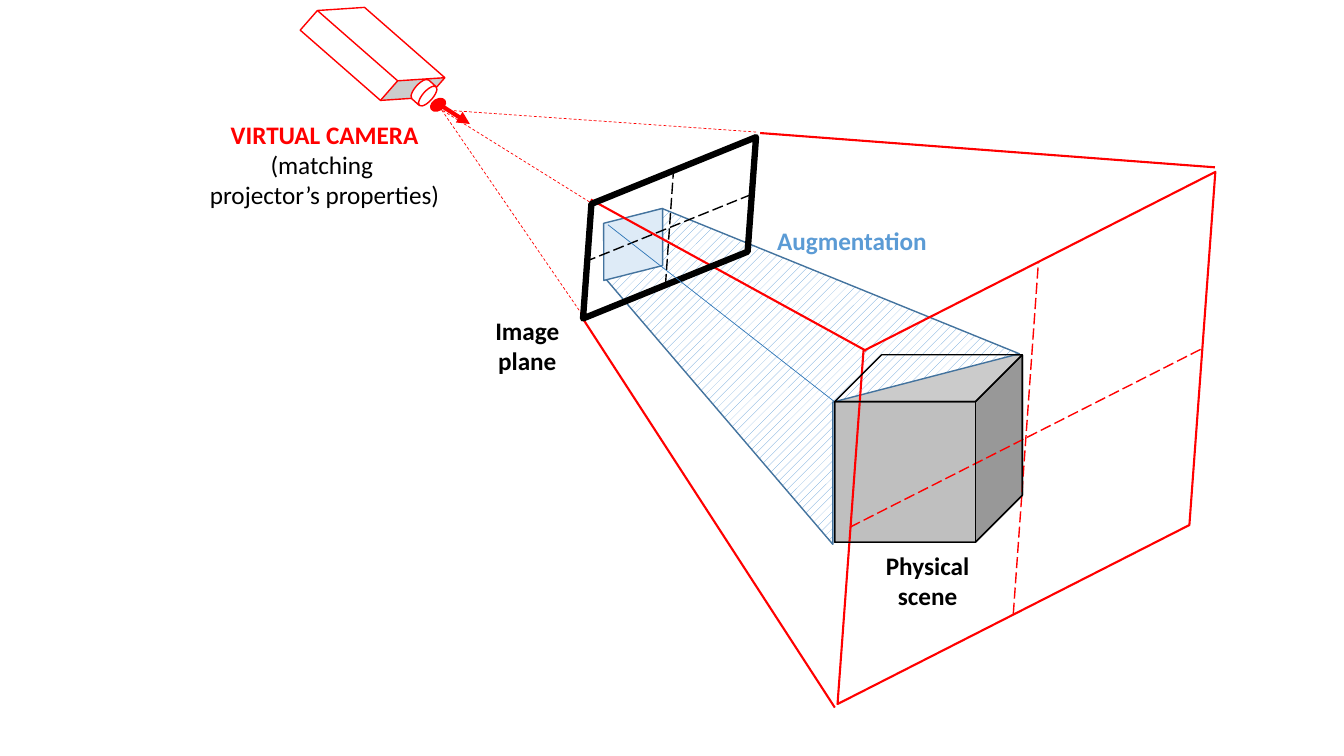
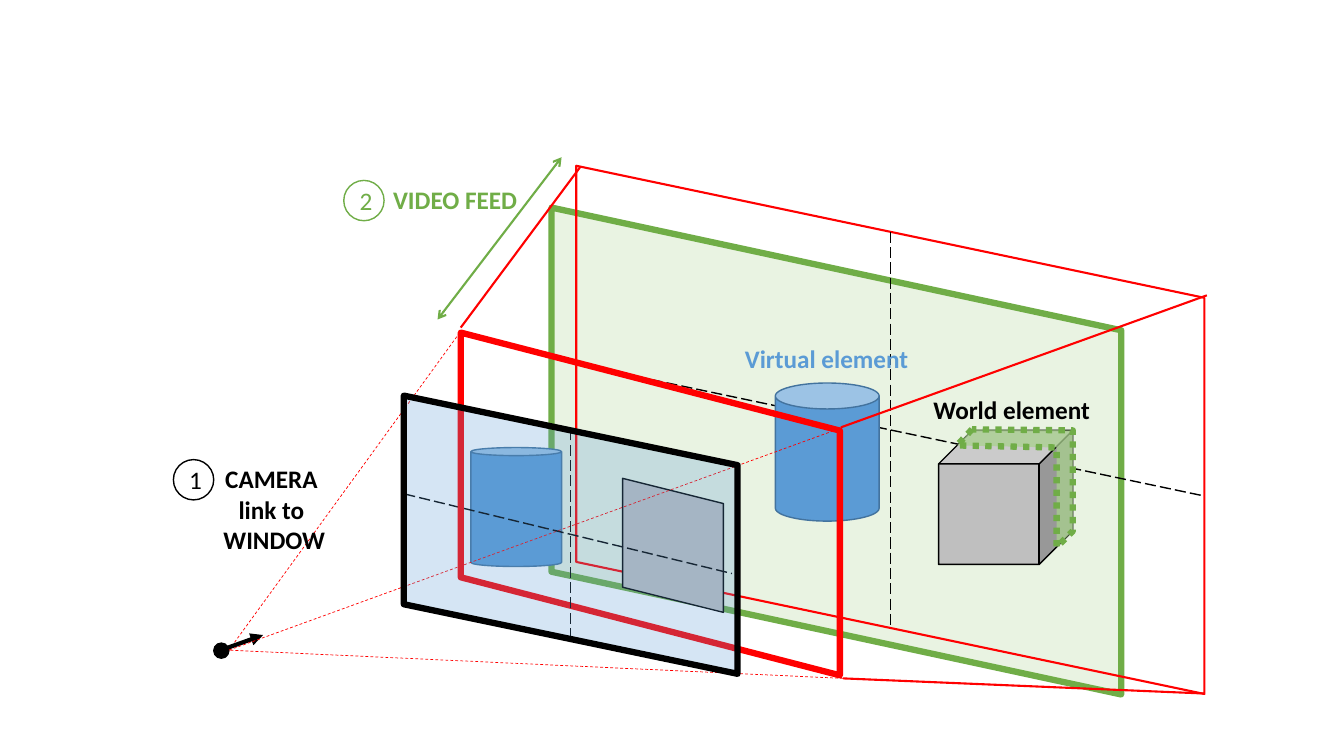
"""Draw two projection diagrams: virtual camera matching and video feed layering."""
import dataclasses

import lxml.etree
import pptx
import pptx.dml.color
import pptx.enum.dml
import pptx.enum.shapes
import pptx.enum.text
import pptx.oxml.ns
import pptx.util

Inches = pptx.util.Inches
Kind = pptx.enum.shapes.MSO_SHAPE
Dash = pptx.enum.dml.MSO_LINE
Align = pptx.enum.text.PP_ALIGN


@dataclasses.dataclass(frozen=True)
class Theme:
    font: str = "Calibri"
    size: int = 18
    black: str = "000000"
    white: str = "FFFFFF"
    red: str = "FF0000"
    blue: str = "5B9BD5"
    blue_edge: str = "43739E"
    blue_ray: str = "2E75B6"
    pale_blue: str = "DEEBF7"
    green: str = "70AD47"
    pale_green: str = "A9D18E"
    grey: str = "BFBFBF"


THEME = Theme()

PENS = {
    "outline": (THEME.black, 1, None),
    "axis": (THEME.black, 1, Dash.LONG_DASH),
    "frame": (THEME.black, 4.5, None),
    "pointer": (THEME.black, 3, None),
    "red thin": (THEME.red, 1, None),
    "red axis": (THEME.red, 1, Dash.LONG_DASH),
    "red edge": (THEME.red, 1.5, None),
    "red frame": (THEME.red, 4.5, None),
    "red pointer": (THEME.red, 3, None),
    "red ray": (THEME.red, 0.5, Dash.DASH),
    "blue edge": (THEME.blue_edge, 1, None),
    "blue ray": (THEME.blue_ray, 0.5, None),
    "green thin": (THEME.green, 1, None),
    "green edge": (THEME.green, 1.5, None),
    "green frame": (THEME.green, 4.5, None),
    "green dots": (THEME.green, 4.5, Dash.ROUND_DOT),
}


def shape(kind, at, pen, fill=None, **extra):
    return "shape", dict(kind=kind, at=at, pen=pen, fill=fill, **extra)


def outline(points, pen, **fill):
    return "outline", dict(points=points, pen=pen, **fill)


def line(start, end, pen, **ends):
    return "line", dict(start=start, end=end, pen=pen, **ends)


def label(at, *paragraphs, align=Align.CENTER):
    return "label", dict(at=at, paragraphs=paragraphs, align=align)


def badge(at, number, ink, pen):
    return shape(Kind.OVAL, (*at, 0.4, 0.4), pen, THEME.white, text=(number, ink, False))


SCENE_CUBE = (8.28, 3.52, 1.86, 1.86)
PROJECTOR_EYE = (4.38, 1.09)
VIRTUAL_CAMERA = [
    shape(Kind.CUBE, SCENE_CUBE, "outline", THEME.grey),
    outline([(10.11, 3.51), (8.26, 3.99), (8.26, 5.4), (6.01, 2.77), (6, 2.22), (6.57, 2.07)],
            "blue edge", hatch=THEME.blue),
    shape(Kind.PARALLELOGRAM, (5.91, 2.15, 0.74, 0.55), "blue edge", THEME.pale_blue,
          turn=345.8),
    label((8.68, 5.41, 1.04, 0.71), ("Physical\nscene", THEME.black, True)),
    label((1.95, 1.13, 2.54, 1.01), ("VIRTUAL CAMERA", THEME.red, True),
          ("(matching \nprojector’s properties)", THEME.black, False)),
    line((5.78, 3.16), (8.28, 7.02), "red edge"),
    line((7.54, 1.32), (12.05, 1.66), "red edge"),
    line((7.5, 1.31), PROJECTOR_EYE, "red ray"),
    line((5.8, 3.16), PROJECTOR_EYE, "red ray"),
    shape(Kind.OVAL, (4.29, 0.96, 0.11, 0.16), "red thin", THEME.red, turn=57.9),
    line((4.38, 1.05), (4.66, 1.23), "red pointer", tail="triangle"),
    line((5.86, 1.98), (8.59, 3.48), "red edge"),
    line((5.89, 2.03), PROJECTOR_EYE, "red ray"),
    line((7.45, 1.93), (5.82, 2.59), "axis"),
    shape(Kind.PARALLELOGRAM, (5.68, 1.47, 1.92, 1.58), "frame",
          turn=274.2, flip=True, adjust=0.494),
    line((6.6, 2.83), (6.68, 1.69), "axis"),
    shape(Kind.CUBE, (3, 0.24, 1.39, 0.59), "red thin", THEME.white, turn=41.2, adjust=0.562),
    shape(Kind.CAN, (4.08, 0.82, 0.25, 0.2), "red thin", THEME.white, turn=131.8, adjust=0.5),
    shape(Kind.PARALLELOGRAM, (7.41, 2.67, 5.54, 3.35), "red edge",
          turn=274.2, flip=True, adjust=0.605),
    line((10.05, 6.09), (10.3, 2.59), "red axis"),
    line((8.43, 5.23), (11.92, 3.46), "red axis"),
    line((6.03, 2.23), (8.27, 3.98), "blue ray"),
    label((4.81, 3.08, 0.84, 0.71), ("Image\nplane", THEME.black, True)),
    label((7.6, 2.19, 1.7, 0.4), ("Augmentation", THEME.blue, True)),
    shape(Kind.CUBE, SCENE_CUBE, "outline"),
]

CAMERA_EYE = (2.27, 6.45)
NEAR_CORNER = (8.36, 6.73)
VIDEO_FEED = [
    shape(Kind.PARALLELOGRAM, (5.88, 1.65, 4.83, 5.65), "green frame", THEME.pale_green,
          opacity=25, turn=90, adjust=0.252),
    shape(Kind.PARALLELOGRAM, (6.21, 1.15, 5.24, 6.23), "red edge", turn=90),
    line((8.83, 2.3), (8.83, 6.23), "axis"),
    line((5.72, 3.61), (11.94, 4.92), "axis"),
    line(NEAR_CORNER, (11.94, 6.88), "red edge"),
    line((4.57, 3.25), (5.76, 1.65), "red edge"),
    shape(Kind.CUBE, (9.31, 4.27, 1.33, 1.33), "outline", THEME.grey),
    shape(Kind.PARALLELOGRAM, (6.01, 4.91, 1.33, 1), "outline", THEME.grey, turn=270, flip=False),
    label((9.16, 3.86, 1.77, 0.4), ("World element", THEME.black, True), align=Align.LEFT),
    line((4.56, 3.3), CAMERA_EYE, "red ray"),
    label((2.11, 4.55, 1.22, 1.01), ("CAMERA ", THEME.black, True),
          ("link to \nWINDOW", THEME.black, True)),
    line(NEAR_CORNER, CAMERA_EYE, "red ray"),
    shape(Kind.OVAL, (2.12, 6.38, 0.15, 0.15), "outline", THEME.black),
    line((2.22, 6.44), (2.61, 6.3), "pointer", tail="triangle"),
    badge((1.72, 4.56), "1", THEME.black, "outline"),
    shape(Kind.CAN, (7.69, 3.8, 1.03, 1.37), "blue edge", THEME.blue),
    line((8.34, 4.24), (11.97, 2.93), "red edge"),
    label((7.29, 3.36, 1.83, 0.4), ("Virtual element", THEME.blue, True), align=Align.LEFT),
    shape(Kind.CAN, (4.67, 4.44, 0.9, 1.18), "blue edge", THEME.blue, adjust=0.089),
    line((8.36, 4.24), CAMERA_EYE, "red ray"),
    line((4.01, 4.9), (7.26, 5.69), "axis"),
    shape(Kind.PARALLELOGRAM, (4.75, 3.12, 3.4, 3.76), "red frame", turn=90, adjust=0.286),
    line((5.66, 6.34), (5.66, 4.27), "axis"),
    shape(Kind.PARALLELOGRAM, (4.28, 3.65, 2.76, 3.31), "frame", THEME.blue,
          opacity=25, turn=90),
    label((3.8, 1.78, 1.44, 0.4), ("VIDEO FEED", THEME.green, True), align=Align.LEFT),
    badge((3.41, 1.79), "2", THEME.green, "green thin"),
    line((5.57, 1.56), (4.34, 3.17), "green edge", head="arrow", tail="arrow"),
    outline([(9.64, 4.26), (9.49, 4.42), (10.48, 4.44), (10.48, 5.43), (10.64, 5.27),
             (10.64, 4.27)], "green dots", fill=THEME.pale_green, opacity=75),
]


def rgb(value):
    return pptx.dml.color.RGBColor.from_string(value)


def add_element(parent, tag, **attributes):
    return lxml.etree.SubElement(parent, pptx.oxml.ns.qn(tag), attributes)


def apply_pen(item, pen):
    colour, width, dash = PENS[pen]
    item.line.color.rgb = rgb(colour)
    item.line.width = pptx.util.Pt(width)
    if dash:
        item.line.dash_style = dash


def apply_fill(item, fill=None, opacity=100, hatch=None):
    if hatch:
        item.fill.patterned()
        item.fill.pattern = pptx.enum.dml.MSO_PATTERN.PERCENT_20
        item.fill.fore_color.rgb = rgb(hatch)
        item.fill.back_color.rgb = rgb(THEME.white)
    elif fill:
        item.fill.solid()
        item.fill.fore_color.rgb = rgb(fill)
        if opacity < 100:
            colour = item.fill._xPr.find(".//" + pptx.oxml.ns.qn("a:srgbClr"))
            add_element(colour, "a:alpha", val=str(opacity * 1000))
    else:
        item.fill.background()


def write_paragraph(para, text, ink, bold, align):
    para.alignment = align
    for index, part in enumerate(text.split("\n")):
        if index:
            para.add_line_break()
        span = para.add_run()
        span.text = part
        span.font.name = THEME.font
        span.font.size = pptx.util.Pt(THEME.size)
        span.font.bold = bold
        span.font.color.rgb = rgb(ink)


def draw_shape(page, kind, at, pen, fill, opacity=100, turn=0, flip=False, adjust=None, text=None):
    item = page.shapes.add_shape(kind, *map(Inches, at))
    item.shadow.inherit = False
    item.rotation = turn
    if flip:
        item._element.spPr.xfrm.set("flipH", "1")
    if adjust is not None:
        item.adjustments[0] = adjust
    apply_pen(item, pen)
    apply_fill(item, fill, opacity)
    if text:
        item.text_frame.vertical_anchor = pptx.enum.text.MSO_ANCHOR.MIDDLE
        write_paragraph(item.text_frame.paragraphs[0], *text, Align.CENTER)


def draw_outline(page, points, pen, **fill):
    corners = [tuple(map(Inches, point)) for point in points]
    builder = page.shapes.build_freeform(*corners[0])
    builder.add_line_segments(corners[1:], close=True)
    item = builder.convert_to_shape()
    item.shadow.inherit = False
    apply_pen(item, pen)
    apply_fill(item, **fill)


def draw_line(page, start, end, pen, **ends):
    item = page.shapes.add_connector(
        pptx.enum.shapes.MSO_CONNECTOR.STRAIGHT, *map(Inches, start + end))
    apply_pen(item, pen)
    for side in ("head", "tail"):
        if side in ends:
            add_element(item.line._get_or_add_ln(), f"a:{side}End", type=ends[side])
    add_element(item._element.spPr, "a:effectLst")


def draw_label(page, at, paragraphs, align):
    box = page.shapes.add_textbox(*map(Inches, at))
    frame = box.text_frame
    frame.word_wrap = False
    frame.auto_size = pptx.enum.text.MSO_AUTO_SIZE.SHAPE_TO_FIT_TEXT
    for index, paragraph in enumerate(paragraphs):
        para = frame.add_paragraph() if index else frame.paragraphs[0]
        write_paragraph(para, *paragraph, align)


DRAW = {"shape": draw_shape, "outline": draw_outline, "line": draw_line, "label": draw_label}


def main():
    deck = pptx.Presentation()
    deck.slide_width, deck.slide_height = Inches(13.33), Inches(7.5)
    for layers in (VIRTUAL_CAMERA, VIDEO_FEED):
        page = deck.slides.add_slide(deck.slide_layouts[6])
        for kind, details in layers:
            DRAW[kind](page, **details)
    deck.save("out.pptx")


if __name__ == "__main__":
    main()
